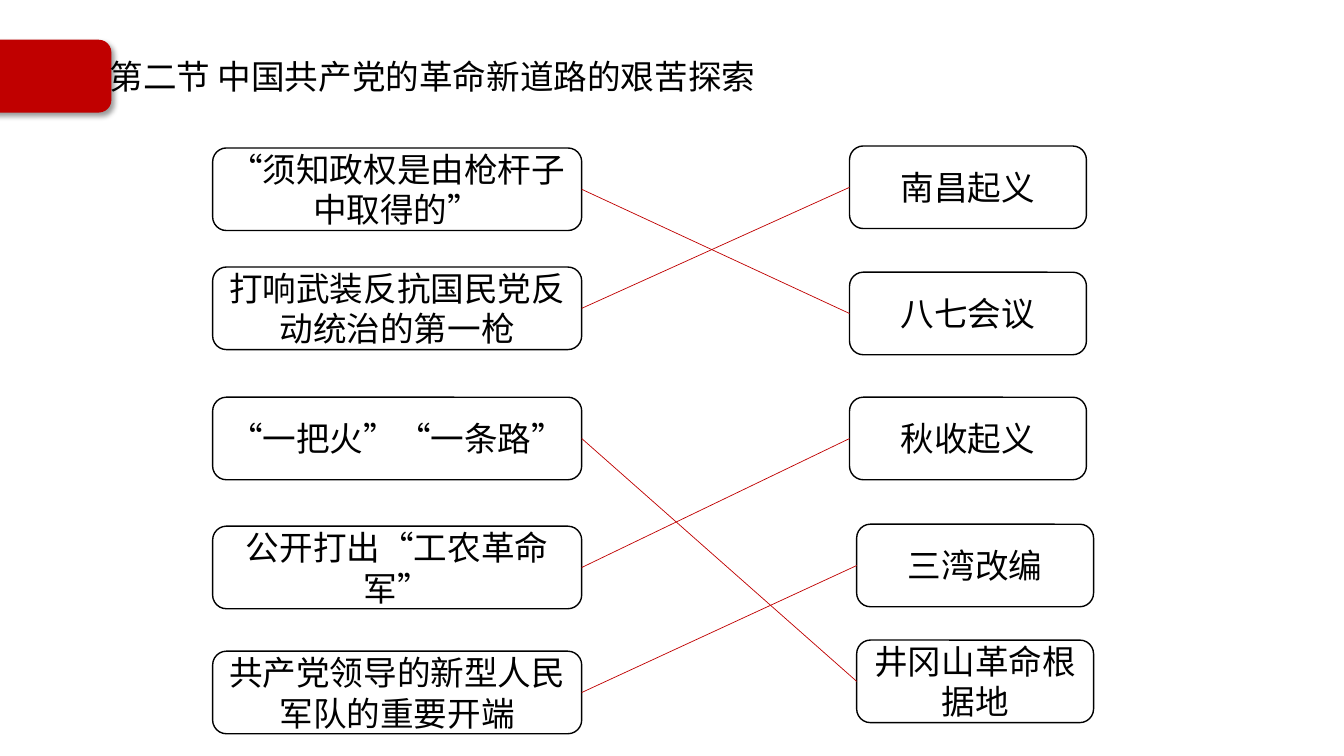
from lxml.etree import SubElement
from pptx import Presentation
from pptx.dml.color import RGBColor
from pptx.enum.lang import MSO_LANGUAGE_ID
from pptx.enum.shapes import MSO_CONNECTOR, MSO_SHAPE
from pptx.enum.text import MSO_ANCHOR, PP_ALIGN
from pptx.oxml.ns import qn
from pptx.util import Cm, Pt

RIGHT_SIDE, LEFT_SIDE = 3, 1


def colour(hex_string):
    return RGBColor.from_string(hex_string)


class MatchingSlide:
    """Holds the style and the slide being filled."""
    ink, red = "000000", "C00000"
    title_font, box_font = "Noto Sans CJK JP", "Noto Sans CJK SC"
    text_size = Pt(24)
    box_height = 2.08

    def __init__(self, slide):
        self.shapes = slide.shapes

    def set_text(self, frame, text, font_name):
        frame.word_wrap = True
        frame.vertical_anchor = MSO_ANCHOR.MIDDLE
        paragraph = frame.paragraphs[0]
        paragraph.text = text
        font = paragraph.font
        font.size, font.name = self.text_size, font_name
        font.color.rgb = colour(self.ink)
        font.language_id = MSO_LANGUAGE_ID.SIMPLIFIED_CHINESE
        # Chinese characters take the East Asian typeface
        defaults = paragraph._p.pPr.find(qn("a:defRPr"))
        SubElement(defaults, qn("a:ea"), typeface=font_name)
        return paragraph

    def rounded(self, left, top, width, height, line):
        shape = self.shapes.add_shape(MSO_SHAPE.ROUNDED_RECTANGLE,
                                      Cm(left), Cm(top), Cm(width), Cm(height))
        shape.shadow.inherit = False
        shape.line.color.rgb = colour(line)
        shape.line.width = Pt(1)
        return shape

    def badge(self, left, top, width, height):
        badge = self.rounded(left, top, width, height, self.red)
        badge.fill.solid()
        badge.fill.fore_color.rgb = colour(self.red)
        effects = badge._element.spPr.find(qn("a:effectLst"))
        shadow = SubElement(effects, qn("a:outerShdw"), blurRad=str(Pt(4)),
                            dist=str(Pt(3)), dir="2700000", algn="tl", rotWithShape="0")
        tint = SubElement(shadow, qn("a:srgbClr"), val=self.ink)
        SubElement(tint, qn("a:alpha"), val="40000")

    def title(self, text, left, top, width, height):
        title = self.shapes.add_textbox(Cm(left), Cm(top), Cm(width), Cm(height))
        self.set_text(title.text_frame, text, self.title_font).line_spacing = 0.9

    def box(self, text, left, top, width):
        box = self.rounded(left, top, width, self.box_height, self.ink)
        box.fill.background()
        self.set_text(box.text_frame, text, self.box_font).alignment = PP_ALIGN.CENTER
        return box

    def match(self, clue, answer):
        link = self.shapes.add_connector(MSO_CONNECTOR.STRAIGHT, 0, 0, 0, 0)
        link.begin_connect(clue, RIGHT_SIDE)
        link.end_connect(answer, LEFT_SIDE)
        link.line.color.rgb = colour(self.red)
        link.line.width = Pt(0.5)
        SubElement(link._element.spPr, qn("a:effectLst"))


def main():
    deck = Presentation()
    deck.slide_width, deck.slide_height = Cm(33.87), Cm(19.05)
    page = MatchingSlide(deck.slides.add_slide(deck.slide_layouts[6]))

    # Heading
    page.badge(-0.46, 1.02, 3.25, 1.8)
    page.title("第二节 中国共产党的革命新道路的艰苦探索", 2.51, 1.07, 29.21, 1.8)

    # Clues on the left: text, top
    clues = [page.box(text, 5.36, top, 9.3) for text, top in [
        ("“须知政权是由枪杆子中取得的”", 3.73),
        ("打响武装反抗国民党反动统治的第一枪", 6.73),
        ("“一把火”“一条路”", 10.01),
        ("公开打出“工农革命军”", 13.26),
        ("共产党领导的新型人民军队的重要开端", 16.41),
    ]]

    # Answers on the right: text, left, top
    answers = [page.box(text, left, top, 5.97) for text, left, top in [
        ("南昌起义", 21.41, 3.68),
        ("八七会议", 21.41, 6.86),
        ("秋收起义", 21.41, 10.01),
        ("三湾改编", 21.59, 13.21),
        ("井冈山革命根据地", 21.59, 16.13),
    ]]

    # Matching lines, clue by clue
    for clue, answer_index in zip(clues, [1, 0, 4, 2, 3]):
        page.match(clue, answers[answer_index])

    deck.save("out.pptx")


if __name__ == "__main__":
    main()
